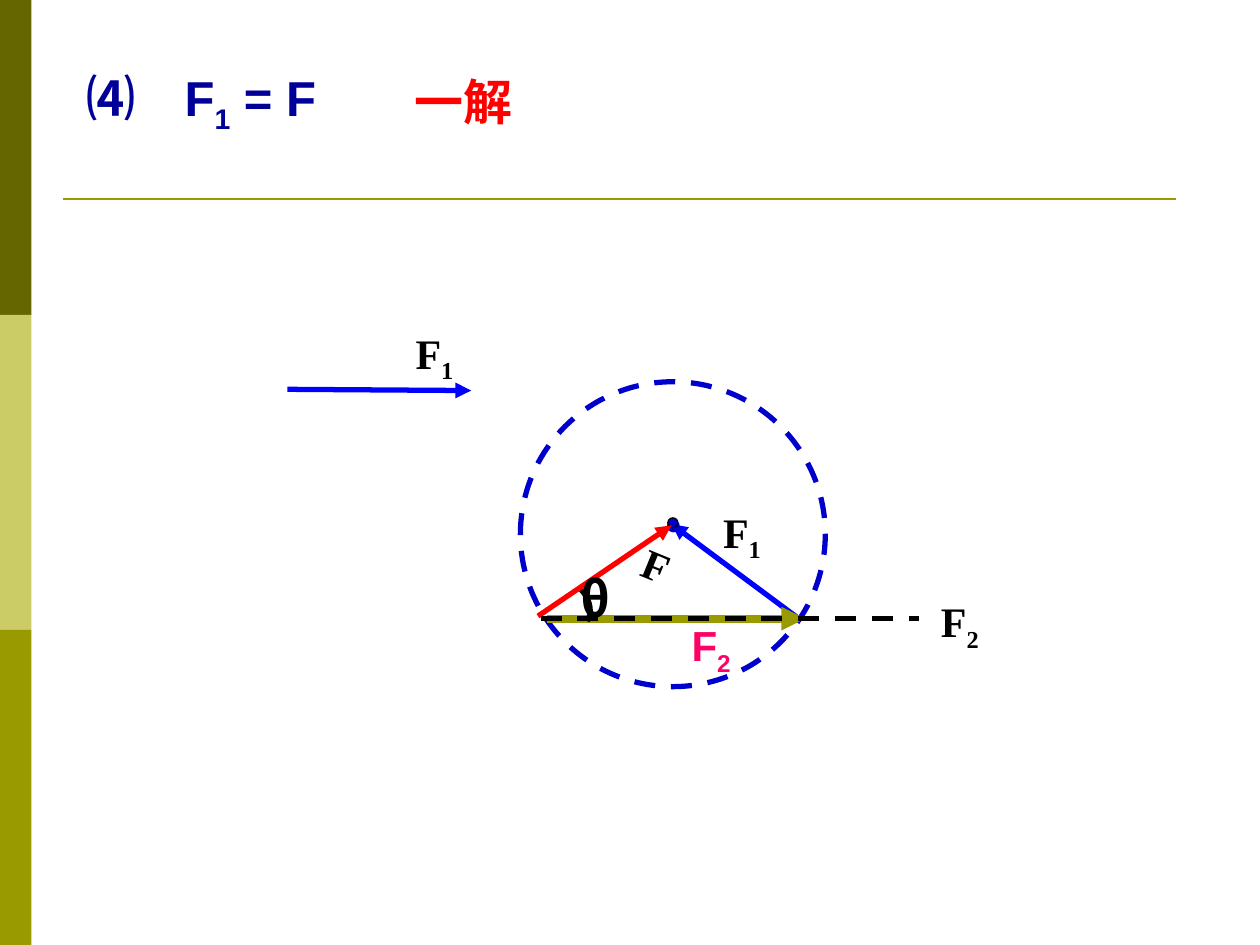
from lxml import etree
from pptx import Presentation
from pptx import util as u
from pptx.dml.color import RGBColor
from pptx.enum import dml, shapes, text
from pptx.oxml.ns import qn

In = u.Inches
HUE = {
    "dark": "666600", "pale": "CCCC66", "gold": "999900", "navy": "000099",
    "blue": "0000FF", "ring": "0000CC", "lime": "99CC00", "red": "FF0000",
    "pink": "FF0066", "black": "000000",
}
SERIF, SANS, CJK = "Times New Roman", "Arial", "Noto Sans CJK SC"


def rgb(name):
    return RGBColor.from_string(HUE[name])


def pen(line, hue, width, dash=False):
    line.color.rgb = rgb(hue)
    line.width = u.Pt(width)
    if dash:
        line.dash_style = dml.MSO_LINE.DASH


def label(slide, runs, x, y, w, h, size=24, hue="black", font=SERIF,
          turn=0, wrap=False, mid=False):
    """Runs are (text, is subscript) or (text, is subscript, font)."""
    box = slide.shapes.add_textbox(In(x), In(y), In(w), In(h))
    box.rotation = turn
    frame = box.text_frame
    frame.word_wrap = wrap
    if mid:
        frame.vertical_anchor = text.MSO_ANCHOR.MIDDLE
    for words, sub, *face in runs:
        run = frame.paragraphs[0].add_run()
        run.text = words
        run.font.size = u.Pt(size)
        run.font.bold = True
        run.font.color.rgb = rgb(hue)
        run.font.name = face[0] if face else font
        props = run.font._element
        east = etree.SubElement(props, qn("a:ea"))
        east.set("typeface", run.font.name)
        if sub:
            props.set("baseline", "-25000")
    return box


def line(slide, x1, y1, x2, y2, hue, width, dash=False, tip=False):
    rule = slide.shapes.add_connector(
        shapes.MSO_CONNECTOR.STRAIGHT, In(x1), In(y1), In(x2), In(y2))
    pen(rule.line, hue, width, dash)
    if tip:
        tail = etree.SubElement(rule.line._get_or_add_ln(), qn("a:tailEnd"))
        tail.set("type", "triangle")
    etree.SubElement(rule._element.spPr, qn("a:effectLst"))


def form(slide, kind, x, y, w, h, fill=None, edge=None, width=1, dash=False):
    part = slide.shapes.add_shape(kind, In(x), In(y), In(w), In(h))
    part.shadow.inherit = False
    if fill:
        part.fill.solid()
        part.fill.fore_color.rgb = rgb(fill)
    else:
        part.fill.background()
    if edge:
        pen(part.line, edge, width, dash)
    else:
        part.line.fill.background()


def side(slide, x, y, w, h):
    # Three equal bands
    band = h / 3
    for i, hue in enumerate(("dark", "pale", "gold")):
        form(slide, shapes.MSO_SHAPE.RECTANGLE, x, y + i * band, w, band, hue)


def head(slide, x, y, w):
    label(slide, [("⑷\u3000".replace("\u3000", "　"), False, CJK), ("F", False),
                  ("1", True), (" = F", False)],
          x + 0.09, y, 2.52, 0.63, 28, "navy", SANS, wrap=True, mid=True)
    label(slide, [("一解", False)], x + 2.69, y + 0.03, 1.34, 0.57,
          28, "red", CJK, wrap=True, mid=True)
    line(slide, x, y + 1.09, x + w, y + 1.09, "gold", 1.5)


def arc(slide, x, y):
    # Angle mark: a cubic curve from the base line up to the force F
    pts = [(0.24, 0.27), (0.29, 0.19), (0.26, 0.08), (0.17, 0)]
    steps = 12
    curve = []
    for i in range(steps + 1):
        t = i / steps
        mix = ((1 - t) ** 3, 3 * t * (1 - t) ** 2, 3 * t * t * (1 - t), t ** 3)
        curve.append((In(x + sum(m * p[0] for m, p in zip(mix, pts))),
                      In(y + sum(m * p[1] for m, p in zip(mix, pts)))))
    pencil = slide.shapes.build_freeform(*curve[0])
    pencil.add_line_segments(curve[1:], close=False)
    mark = pencil.convert_to_shape()
    mark.shadow.inherit = False
    mark.fill.background()
    pen(mark.line, "black", 3)


def force(slide, x, y):
    """Force triangle; x, y is the top left of the circle's box."""
    oval = shapes.MSO_SHAPE.OVAL
    base = y + 1.88
    tip = (x + 1.2, y + 1.13)

    # Side F1, circle and its centre
    line(slide, x + 2.21, base, *tip, "blue", 3, tip=True)
    label(slide, [("F", False), ("1", True)], x + 1.51, y + 0.94, 0.5, 0.56)
    form(slide, oval, x, y, 2.42, 2.42, None, "ring", 3, True)
    form(slide, oval, x + 1.18, y + 1.11, 0.07, 0.07, "lime", "ring", 2.25)
    form(slide, oval, x + 1.17, y + 1.08, 0.08, 0.08, "ring", "black", 0.75)

    # Side F2
    line(slide, x + 0.21, base, x + 2.26, base, "gold", 4.5, tip=True)
    label(slide, [("F", False), ("2", True)], x + 1.26, y + 1.84, 0.79, 0.56,
          hue="pink", font=SANS, wrap=True)

    # Angle, force F and the dashed direction of F2
    arc(slide, x + 0.29, y + 1.63)
    label(slide, [("F", False)], x + 0.88, y + 1.2, 0.4, 0.5, turn=22.2)
    line(slide, x + 0.14, y + 1.86, x + 1.2, y + 1.14, "red", 3, tip=True)
    line(slide, x + 0.16, base, x + 3.16, base, "black", 3, dash=True)
    label(slide, [("θ", False)], x + 0.38, y + 1.43, 0.42, 0.57, 28,
          font=CJK, wrap=True)
    label(slide, [("F", False), ("2", True)], x + 3.24, y + 1.65, 0.5, 0.56)


def given(slide, x, y):
    # The known force F1
    line(slide, x, y + 0.54, x + 1.46, y + 0.55, "blue", 3, tip=True)
    label(slide, [("F", False), ("1", True)], x + 0.92, y, 0.5, 0.56)


def main():
    deck = Presentation()
    deck.slide_width, deck.slide_height = In(10), In(7.5)
    slide = deck.slides.add_slide(deck.slide_layouts[6])
    side(slide, 0, 0, 0.25, 7.5)
    head(slide, 0.5, 0.49, 8.83)
    force(slide, 4.13, 3.03)
    given(slide, 2.28, 2.55)
    deck.save("out.pptx")


if __name__ == "__main__":
    main()
